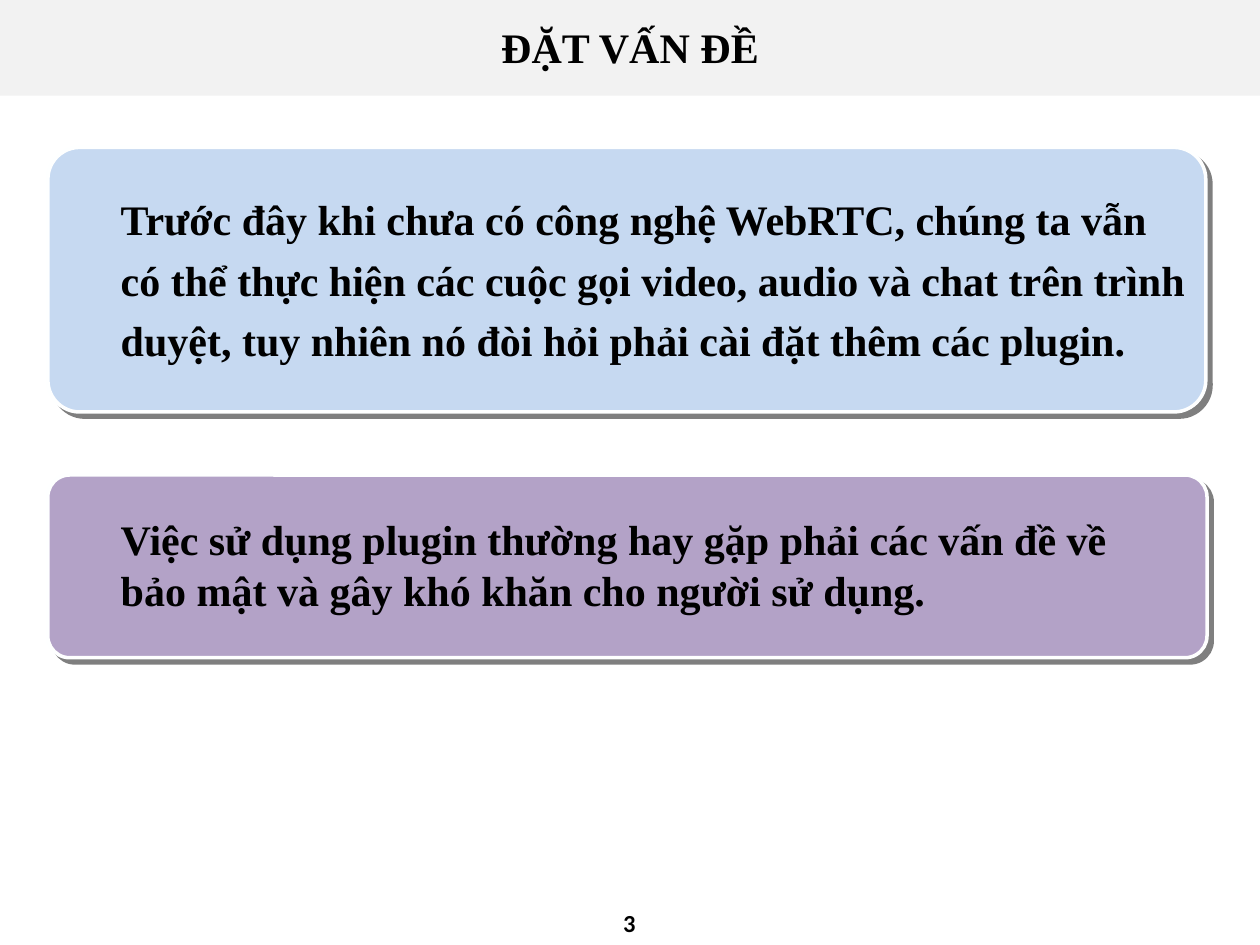
from lxml.etree import SubElement
from pptx import Presentation
from pptx.dml.color import RGBColor
from pptx.enum.shapes import MSO_SHAPE
from pptx.enum.text import MSO_ANCHOR, PP_ALIGN
from pptx.oxml.ns import qn
from pptx.util import Emu, Pt

PX = 9144
BLACK = RGBColor(0x00, 0x00, 0x00)
WHITE = RGBColor(0xFE, 0xFF, 0xFF)
GREY = RGBColor(0xF2, 0xF2, 0xF2)
BLUE = RGBColor(0xC6, 0xD9, 0xF1)
PURPLE = RGBColor(0xB3, 0xA2, 0xC7)

HEADING = {"name": "Times New Roman", "size": Pt(24), "bold": True}
NUMBER = {"name": "Calibri", "size": Pt(14), "bold": True}


def place(*lengths):
    return [Emu(length * PX) for length in lengths]


def write(shape, text, font_format, anchor, alignment, line_spacing=1.0):
    frame = shape.text_frame
    frame.word_wrap = True
    frame.vertical_anchor = anchor
    paragraph = frame.paragraphs[0]
    paragraph.alignment = alignment
    paragraph.line_spacing = line_spacing
    run = paragraph.add_run()
    run.text = text
    for attribute, value in font_format.items():
        setattr(run.font, attribute, value)
    run.font.color.rgb = BLACK


presentation = Presentation()
presentation.slide_width, presentation.slide_height = place(1000, 750)
slide = presentation.slides.add_slide(presentation.slide_layouts[6])

banner = slide.shapes.add_shape(MSO_SHAPE.RECTANGLE, *place(0, -2, 1000, 78))
banner.shadow.inherit = False
banner.fill.solid()
banner.fill.fore_color.rgb = GREY
banner.line.fill.background()
write(banner, "ĐẶT VẤN ĐỀ", HEADING, MSO_ANCHOR.MIDDLE, PP_ALIGN.CENTER)

cards = [
    ((38, 117, 919, 210), BLUE, (86, 141, 872, 155), 1.2,
     "Trước đây khi chưa có công nghệ WebRTC, chúng ta vẫn có thể thực hiện "
     "các cuộc gọi video, audio và chat trên trình duyệt, tuy nhiên nó đòi hỏi "
     "phải cài đặt thêm các plugin."),
    ((38, 377, 920, 145), PURPLE, (86, 403, 851, 91), 1.0,
     "Việc sử dụng plugin thường hay gặp phải các vấn đề về bảo mật và gây "
     "khó khăn cho người sử dụng."),
]
for card_box, color, text_box, line_spacing, text in cards:
    card = slide.shapes.add_shape(MSO_SHAPE.ROUNDED_RECTANGLE, *place(*card_box))
    card.adjustments[0] = 0.12
    card.fill.solid()
    card.fill.fore_color.rgb = color
    card.line.color.rgb = WHITE
    card.line.width = Pt(2)
    card.shadow.inherit = False
    effects = card._element.spPr.find(qn("a:effectLst"))
    shadow = SubElement(effects, qn("a:outerShdw"), blurRad="0", dist=str(Pt(4.2)),
                        dir="2700000", algn="ctr", rotWithShape="0")
    shadow_color = SubElement(shadow, qn("a:srgbClr"), val=str(BLACK))
    SubElement(shadow_color, qn("a:alpha"), val="50000")
    statement = slide.shapes.add_textbox(*place(*text_box))
    write(statement, text, HEADING, MSO_ANCHOR.TOP, PP_ALIGN.LEFT, line_spacing)

page_number = slide.shapes.add_textbox(*place(383, 712, 233, 40))
write(page_number, "3", NUMBER, MSO_ANCHOR.MIDDLE, PP_ALIGN.CENTER)

presentation.save("out.pptx")
